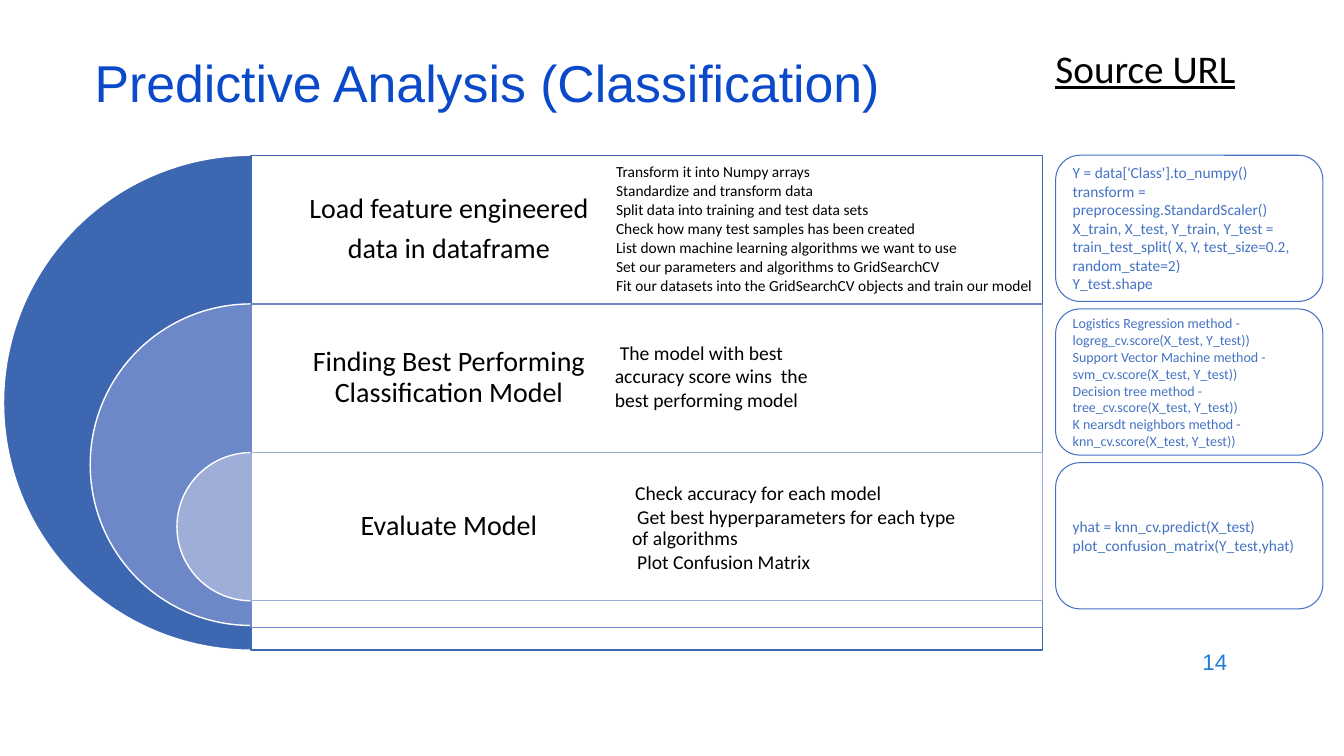
import pptx
import pptx.dml.color
import pptx.enum.shapes
import pptx.enum.text
import pptx.oxml
import pptx.oxml.ns
import pptx.util
from pptx.util import Inches

RGBColor = pptx.dml.color.RGBColor
Shape = pptx.enum.shapes.MSO_SHAPE
Align = pptx.enum.text.PP_ALIGN
Anchor = pptx.enum.text.MSO_ANCHOR

BLACK = RGBColor(0x00, 0x00, 0x00)
WHITE = RGBColor(0xFF, 0xFF, 0xFF)
TITLE_BLUE = RGBColor(0x0B, 0x49, 0xCB)
NUMBER_BLUE = RGBColor(0x1C, 0x7D, 0xDB)
CODE_BLUE = RGBColor(0x44, 0x72, 0xC4)
RING_BLUES = [RGBColor(0x3E, 0x67, 0xB2), RGBColor(0x6C, 0x88, 0xC8), RGBColor(0x9F, 0xAE, 0xD8)]

AXIS = 2.49          # shared vertical edge of the half rings and the bands
TOP = 1.54
BAND_WIDTH = 7.85
BAND_STEP = 1.475
RING_STEP = 1.72
CODE_STEP = 1.525

deck = pptx.Presentation()
deck.slide_width = Inches(13.33)
deck.slide_height = Inches(7.5)
page = deck.slides.add_slide(deck.slide_layouts[6])


def write(shape, lines, size, color=BLACK, font="Calibri", align=Align.LEFT, anchor=Anchor.MIDDLE,
          inset=None, spacing=None, after=0, indents=()):
    """Fill a shape with paragraphs; indents holds (left, first line) inches for each one."""
    frame = shape.text_frame
    frame.word_wrap = True
    frame.vertical_anchor = anchor
    if inset is not None:
        frame.margin_left = frame.margin_right = Inches(inset)
        frame.margin_top = frame.margin_bottom = Inches(inset)
    for index, line in enumerate(lines):
        para = frame.paragraphs[0] if index == 0 else frame.add_paragraph()
        para.text = line
        para.alignment = align
        para.line_spacing = spacing
        para.space_after = pptx.util.Pt(after)
        if indents:
            left, first = indents[index]
            properties = para._p.get_or_add_pPr()
            properties.set("marL", str(Inches(left)))
            properties.set("indent", str(Inches(first)))
        para.font.name = font
        para.font.size = pptx.util.Pt(size)
        para.font.color.rgb = color


def add_outlined(kind, left, top, width, height, line_color, line_width, fill=None):
    shape = page.shapes.add_shape(kind, Inches(left), Inches(top), Inches(width), Inches(height))
    shape.shadow.inherit = False
    if fill is None:
        shape.fill.background()
    else:
        shape.fill.solid()
        shape.fill.fore_color.rgb = fill
    shape.line.color.rgb = line_color
    shape.line.width = pptx.util.Pt(line_width)
    return shape


number = page.shapes.add_textbox(Inches(9.27), Inches(6.34), Inches(3), Inches(0.44))
write(number, ["14"], 16, NUMBER_BLUE, "Arial", Align.RIGHT)

title = page.shapes.add_textbox(Inches(0.84), Inches(0.59), Inches(8.18), Inches(0.6))
write(title, ["Predictive Analysis (Classification)"], 37, TITLE_BLUE, "Arial", spacing=0.7)

link = page.shapes.add_textbox(Inches(10.19), Inches(0.39), Inches(2.34), Inches(0.57))
write(link, ["Source URL"], 28, align=Align.CENTER, anchor=Anchor.TOP)
link.text_frame.paragraphs[0].font.underline = True

stages = [
    ["Load feature engineered", "data in dataframe"],
    ["Finding Best Performing Classification Model"],
    ["Evaluate Model"],
]
band_heights = [4.91, 3.21, 1.47]
for index, (stage, band_height, blue) in enumerate(zip(stages, band_heights, RING_BLUES)):
    top = TOP + index * BAND_STEP
    diameter = 4.91 - index * RING_STEP
    ring = add_outlined(Shape.PIE, AXIS - diameter / 2, top, diameter, diameter, WHITE, 1, blue)
    ring.adjustments[0] = 54     # 90 degrees
    ring.adjustments[1] = 162    # 270 degrees

    band = add_outlined(Shape.RECTANGLE, AXIS, top, BAND_WIDTH, band_height, blue, 1, WHITE)
    white_fill = band.fill._xPr.find(".//" + pptx.oxml.ns.qn("a:srgbClr"))
    white_fill.append(pptx.oxml.parse_xml(
        f'<a:alpha {pptx.oxml.ns.nsdecls("a")} val="90000"/>'))

    label = page.shapes.add_textbox(Inches(AXIS), Inches(top), Inches(BAND_WIDTH / 2), Inches(1.47))
    write(label, stage, 20, align=Align.CENTER, inset=0.08, spacing=0.9, after=7)

load_steps = page.shapes.add_textbox(Inches(5.84), Inches(TOP), Inches(5.07), Inches(1.47))
write(load_steps, [
    "Transform it into Numpy arrays",
    "Standardize and transform data",
    "Split data into training and test data sets",
    "Check how many test samples has been created",
    "List down machine learning algorithms we want to use",
    "Set our parameters and algorithms to GridSearchCV",
    "Fit our datasets into the GridSearchCV objects and train our model",
], 11, inset=0.27, spacing=0.9, after=1.65)

evaluate_steps = page.shapes.add_textbox(Inches(5.88), Inches(4.51), Inches(3.93), Inches(1.47))
write(evaluate_steps, [
    "Check accuracy for each model",
    "Get best hyperparameters for each type of algorithms",
    "Plot Confusion Matrix",
], 14, inset=0.27, spacing=0.9, after=2.1, indents=[(0.15, 0), (0.12, 0.05), (0.17, 0)])

best_model = page.shapes.add_textbox(Inches(6), Inches(3.33), Inches(2.3), Inches(0.84))
write(best_model, ["The model with best accuracy score wins  the best performing model"], 14,
      anchor=Anchor.TOP, indents=[(0, 0.05)])

code_boxes = [
    (11, [
        "Y = data['Class'].to_numpy()",
        "transform = preprocessing.StandardScaler()",
        "X_train, X_test, Y_train, Y_test = train_test_split( X, Y, test_size=0.2, random_state=2)",
        "Y_test.shape",
    ]),
    (10, [
        "Logistics Regression method - logreg_cv.score(X_test, Y_test))",
        "Support Vector Machine method - svm_cv.score(X_test, Y_test))",
        "Decision tree method - tree_cv.score(X_test, Y_test))",
        "K nearsdt neighbors method - knn_cv.score(X_test, Y_test))",
    ]),
    (11, ["yhat = knn_cv.predict(X_test)", "plot_confusion_matrix(Y_test,yhat)"]),
]
for index, (size, code) in enumerate(code_boxes):
    code_box = add_outlined(Shape.ROUNDED_RECTANGLE, 10.47, TOP + index * CODE_STEP, 2.65, 1.45,
                            CODE_BLUE, 0.75)
    write(code_box, code, size, CODE_BLUE)

deck.save("out.pptx")
